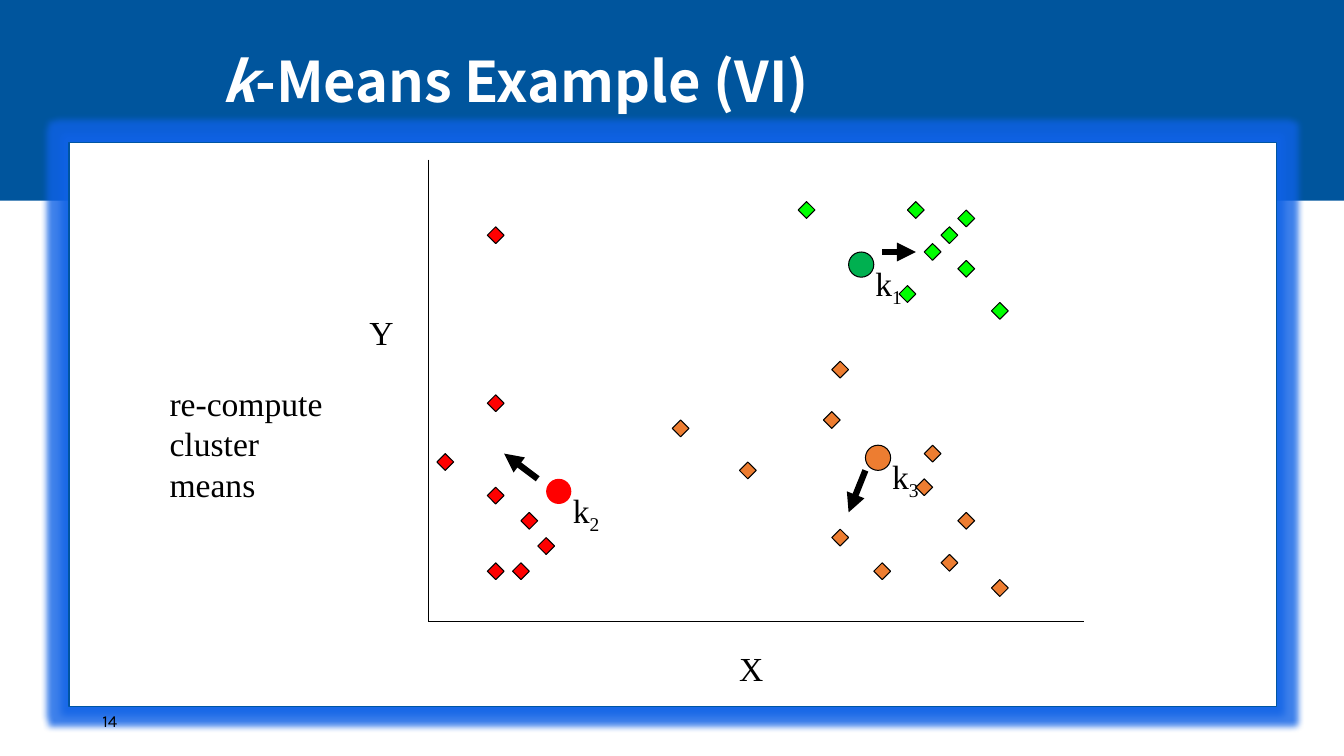
"""Build the k-means slide that shows the cluster means being recomputed."""
from lxml import etree
from pptx import Presentation
from pptx.dml.color import RGBColor
from pptx.enum.shapes import MSO_CONNECTOR, MSO_SHAPE
from pptx.enum.text import MSO_ANCHOR
from pptx.oxml.ns import qn
from pptx.util import Inches, Pt

STRAIGHT = MSO_CONNECTOR.STRAIGHT
RECTANGLE, DIAMOND, OVAL = MSO_SHAPE.RECTANGLE, MSO_SHAPE.DIAMOND, MSO_SHAPE.OVAL
TOP, MIDDLE = MSO_ANCHOR.TOP, MSO_ANCHOR.MIDDLE
SERIF, HEADING, FOOTER = "Times New Roman", "Noto Sans CJK SC", "Karla"
COLORS = {
    "banner": "00559D", "border": "0055A2", "glow": "0F62E6",
    "white": "FFFFFF", "black": "000000",
    "green": "00FF00", "green mean": "00B050",
    "red": "FF0000", "orange": "ED7D31",
}
GRID = Inches(1 / 12)

deck = Presentation()
deck.slide_width, deck.slide_height = Inches(13.33), Inches(7.5)
slide = deck.slides.add_slide(deck.slide_layouts[6])


def add_mark(kind, col, row, cols, rows, fill, line=None, width=0.75):
    mark = slide.shapes.add_shape(
        kind, *(round(n * GRID) for n in (col, row, cols, rows)))
    mark.shadow.inherit = False
    mark.fill.solid()
    mark.fill.fore_color.rgb = RGBColor.from_string(COLORS[fill])
    if line:
        mark.line.color.rgb = RGBColor.from_string(COLORS[line])
        mark.line.width = Pt(width)
    else:
        mark.line.fill.background()
    return mark


def add_label(col, row, cols, rows, runs, size=24, font=SERIF, color="black", anchor=TOP):
    label = slide.shapes.add_textbox(*(round(n * GRID) for n in (col, row, cols, rows)))
    frame = label.text_frame
    frame.word_wrap = True
    frame.vertical_anchor = anchor
    for text in runs:
        run = frame.paragraphs[0].add_run()
        run.text = text
        run.font.size, run.font.name = Pt(size), font
        run.font.color.rgb = RGBColor.from_string(COLORS[color])
    return frame.paragraphs[0]


add_mark(RECTANGLE, -0.1, -0.1, 160.2, 24, "banner")
panel = add_mark(RECTANGLE, 8.2, 16.95, 143.75, 67.2, "white", "border", 1)
effects = panel._element.spPr.find(qn("a:effectLst"))
glow = etree.SubElement(effects, qn("a:glow"), rad=str(Pt(10)))
glow_color = etree.SubElement(glow, qn("a:srgbClr"), val=COLORS["glow"])
etree.SubElement(glow_color, qn("a:alpha"), val="80000")

add_label(11, 83.4, 36, 4.8, ["14"], 12, FOOTER, anchor=MIDDLE)
title = add_label(25.2, 2.5, 108, 15.1, ["k", "-Means Example (VI)"],
                  40, HEADING, "white", MIDDLE)
title.line_spacing = 0.9
for run in title.runs:
    run.font.bold = True
title.runs[0].font.italic = True

clusters = {
    "red": [(62, 61), (64, 64), (61, 67), (58, 58), (58, 27), (58, 47), (58, 67), (52, 54)],
    "green": [(108, 24), (114, 25), (112, 27), (110, 29), (114, 31), (118, 36), (95, 24),
              (107, 34)],
    "orange": [(80, 50), (99, 43), (99, 63), (104, 67), (109, 57), (98, 49), (88, 55),
               (114, 61), (112, 66), (110, 53), (118, 69)],
}
for cluster, points in clusters.items():
    for col, row in points:
        add_mark(DIAMOND, col, row, 2, 2, cluster, "black")

axes = [(51, 19, 51, 74), (51, 74, 129, 74)]
mean_moves = [(64, 57, 60, 54), (103, 56, 101, 61), (105, 30, 109, 30)]
for ends in axes + mean_moves:
    stroke = slide.shapes.add_connector(STRAIGHT, *(n * GRID for n in ends))
    stroke.line.color.rgb = RGBColor.from_string(COLORS["black"])
    stroke.line.width = Pt(4.5 if ends in mean_moves else 0.75)
    if ends in mean_moves:
        etree.SubElement(stroke.line._get_or_add_ln(), qn("a:tailEnd"), type="triangle")
    etree.SubElement(stroke._element.spPr, qn("a:effectLst"))

add_label(86.8, 76.6, 5.3, 6, ["X"])
add_label(42.8, 36.6, 5.3, 6, ["Y"])
add_label(19, 45, 24, 15.7, ["re-compute cluster means"])

means = [("1", 101, 30, "green mean", "black"), ("2", 65, 57, "red", None),
         ("3", 103, 53, "orange", "black")]
for number, col, row, fill, line in means:
    add_mark(OVAL, col, row, 3, 3, fill, line)
    mean_label = add_label(col + 2, row + 1, 7, 6, ["k", number], anchor=MIDDLE)
    mean_label.runs[1].font._element.set("baseline", "-25000")

deck.save("out.pptx")
